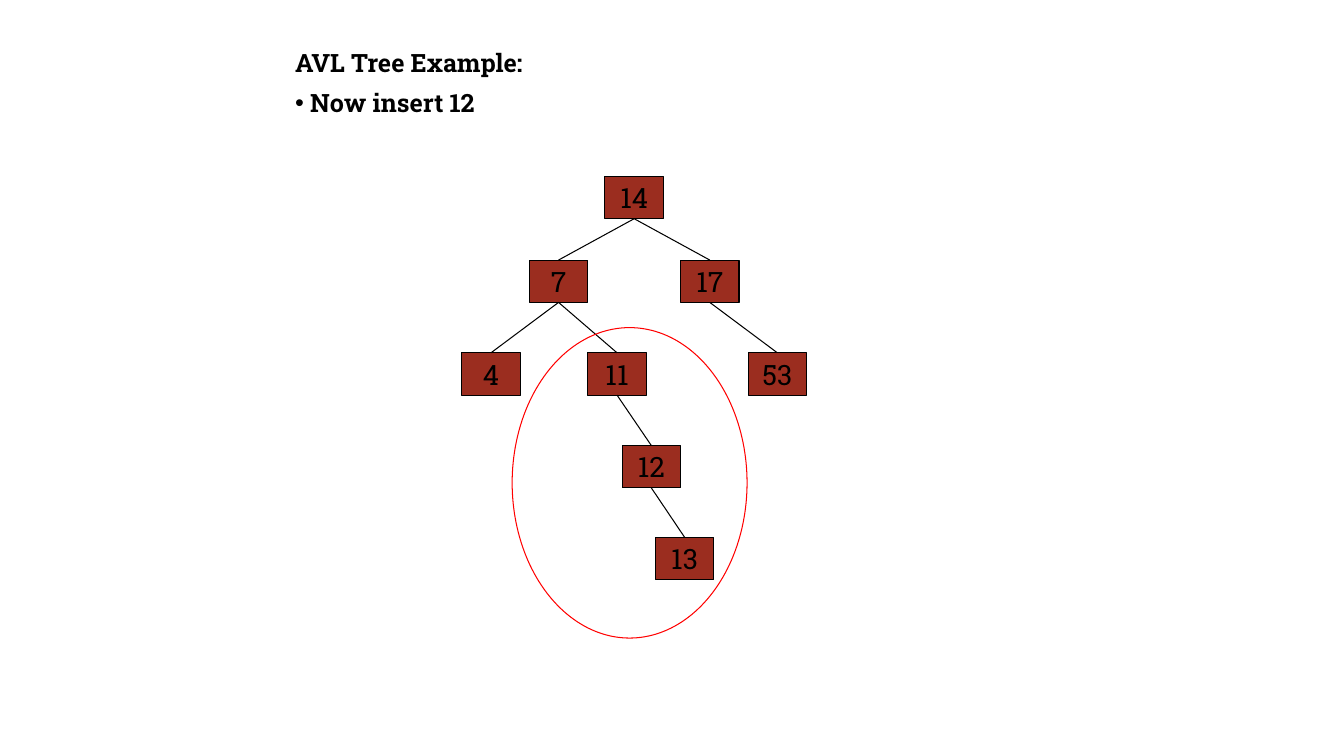
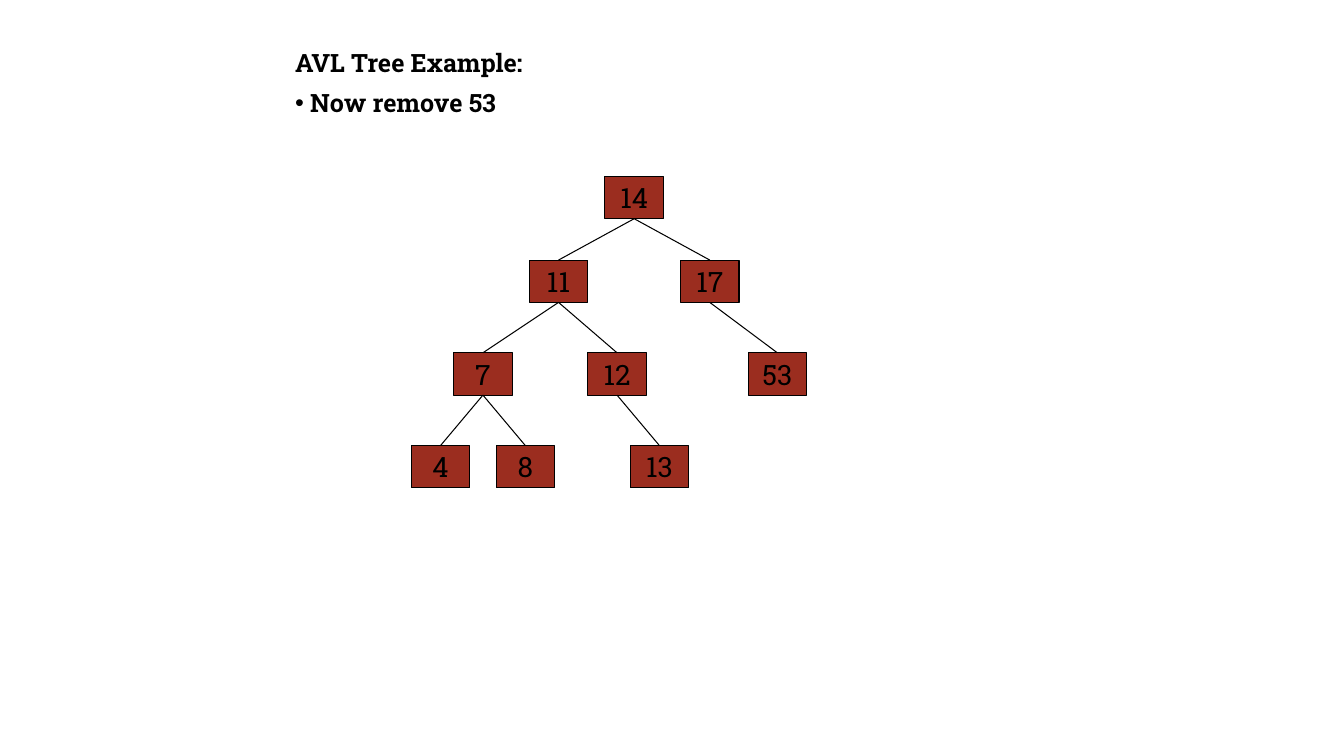
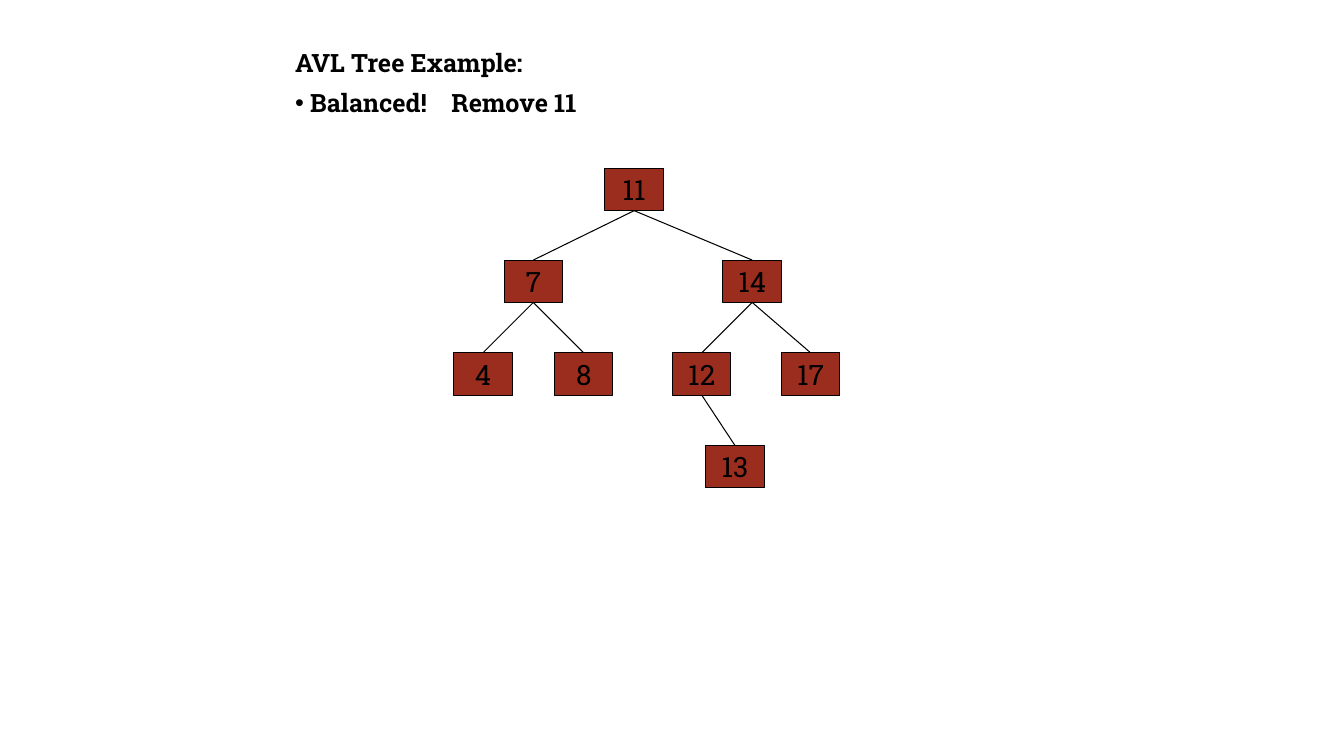
from lxml import etree
from pptx import Presentation
from pptx.dml.color import RGBColor
from pptx.enum.shapes import MSO_CONNECTOR, MSO_SHAPE
from pptx.enum.text import MSO_ANCHOR, PP_ALIGN
from pptx.oxml.ns import qn
from pptx.util import Inches, Pt

# Shared style
RECTANGLE, OVAL = MSO_SHAPE.RECTANGLE, MSO_SHAPE.OVAL
STRAIGHT = MSO_CONNECTOR.STRAIGHT
MIDDLE, CENTER = MSO_ANCHOR.MIDDLE, PP_ALIGN.CENTER
BLACK = RGBColor(0x00, 0x00, 0x00)
RED = RGBColor(0xFF, 0x00, 0x00)
BRICK = RGBColor(0x9B, 0x2D, 0x1F)
HEADING_FONT = {"name": "Roboto Slab", "size": Pt(18), "bold": True}
NODE_FONT = {"name": "Roboto Slab", "size": Pt(20), "bold": False}
NODE_WIDTH, NODE_HEIGHT = 0.58, 0.42
LEVEL_TOPS = [2.58, 3.5, 4.42, 5.33]
BOTTOM_SITE, TOP_SITE = 2, 0

# Each tree lists (value, parent, left, level); level 0 is the root
TREES = [
    {"step": " Now insert 12", "root_top": 1.75, "circle": (5.08, 3.25, 2.33, 3.08),
     "nodes": [("14", None, 6, 0), ("7", "14", 5.25, 1), ("17", "14", 6.75, 1),
               ("4", "7", 4.58, 2), ("11", "7", 5.83, 2), ("53", "17", 7.42, 2),
               ("12", "11", 6.17, 3), ("13", "12", 6.5, 4)]},
    {"step": " Now remove 53", "root_top": 1.75, "circle": None,
     "nodes": [("14", None, 6, 0), ("11", "14", 5.25, 1), ("17", "14", 6.75, 1),
               ("7", "11", 4.5, 2), ("12", "11", 5.83, 2), ("53", "17", 7.42, 2),
               ("4", "7", 4.08, 3), ("8", "7", 4.92, 3), ("13", "12", 6.25, 3)]},
    {"step": " Balanced!\tRemove 11", "root_top": 1.67, "circle": None,
     "nodes": [("11", None, 6, 0), ("7", "11", 5, 1), ("14", "11", 7.17, 1),
               ("4", "7", 4.5, 2), ("8", "7", 5.5, 2), ("12", "14", 6.67, 2),
               ("17", "14", 7.75, 2), ("13", "12", 7, 3)]},
]


def write(paragraph, text, font_format):
    run = paragraph.add_run()
    run.text = text
    run.font.color.rgb = BLACK
    for name, value in font_format.items():
        setattr(run.font, name, value)


def add_outlined(slide, kind, box, color):
    shape = slide.shapes.add_shape(kind, *[Inches(length) for length in box])
    shape.shadow.inherit = False
    shape.line.color.rgb = color
    shape.line.width = Pt(0.75)
    return shape


presentation = Presentation()
presentation.slide_width, presentation.slide_height = Inches(13.33), Inches(7.5)

for tree in TREES:
    slide = presentation.slides.add_slide(presentation.slide_layouts[6])

    # Heading and bulleted step
    heading = slide.shapes.add_textbox(Inches(2.83), Inches(0.42), Inches(7.83), Inches(0.85))
    frame = heading.text_frame
    frame.word_wrap = True
    write(frame.paragraphs[0], "AVL Tree Example:", HEADING_FONT)
    step = frame.add_paragraph()
    step.space_before = Pt(7)
    write(step, tree["step"], HEADING_FONT)
    properties = step._p.get_or_add_pPr()
    properties.set("marL", "0")
    properties.set("indent", "0")
    etree.SubElement(properties, qn("a:buFont"), typeface="Arial")
    etree.SubElement(properties, qn("a:buChar"), char="•")
    tabs = etree.SubElement(properties, qn("a:tabLst"))
    etree.SubElement(tabs, qn("a:tab"), pos=str(Inches(1.55)), algn="l")

    # Nodes, each joined to its parent
    tops = [tree["root_top"]] + LEVEL_TOPS
    nodes = {}
    for value, parent, left, level in tree["nodes"]:
        node = add_outlined(slide, RECTANGLE, (left, tops[level], NODE_WIDTH, NODE_HEIGHT), BLACK)
        node.fill.solid()
        node.fill.fore_color.rgb = BRICK
        node.text_frame.word_wrap = False
        node.text_frame.vertical_anchor = MIDDLE
        paragraph = node.text_frame.paragraphs[0]
        paragraph.alignment = CENTER
        write(paragraph, value, NODE_FONT)
        nodes[value] = node
        if parent:
            edge = slide.shapes.add_connector(STRAIGHT, 0, 0, 0, 0)
            edge.begin_connect(nodes[parent], BOTTOM_SITE)
            edge.end_connect(node, TOP_SITE)
            edge.line.color.rgb = BLACK
            edge.line.width = Pt(0.75)
            etree.SubElement(edge._element.spPr, qn("a:effectLst"))

    # Ring around the unbalanced subtree
    if tree["circle"]:
        add_outlined(slide, OVAL, tree["circle"], RED).fill.background()

presentation.save("out.pptx")
